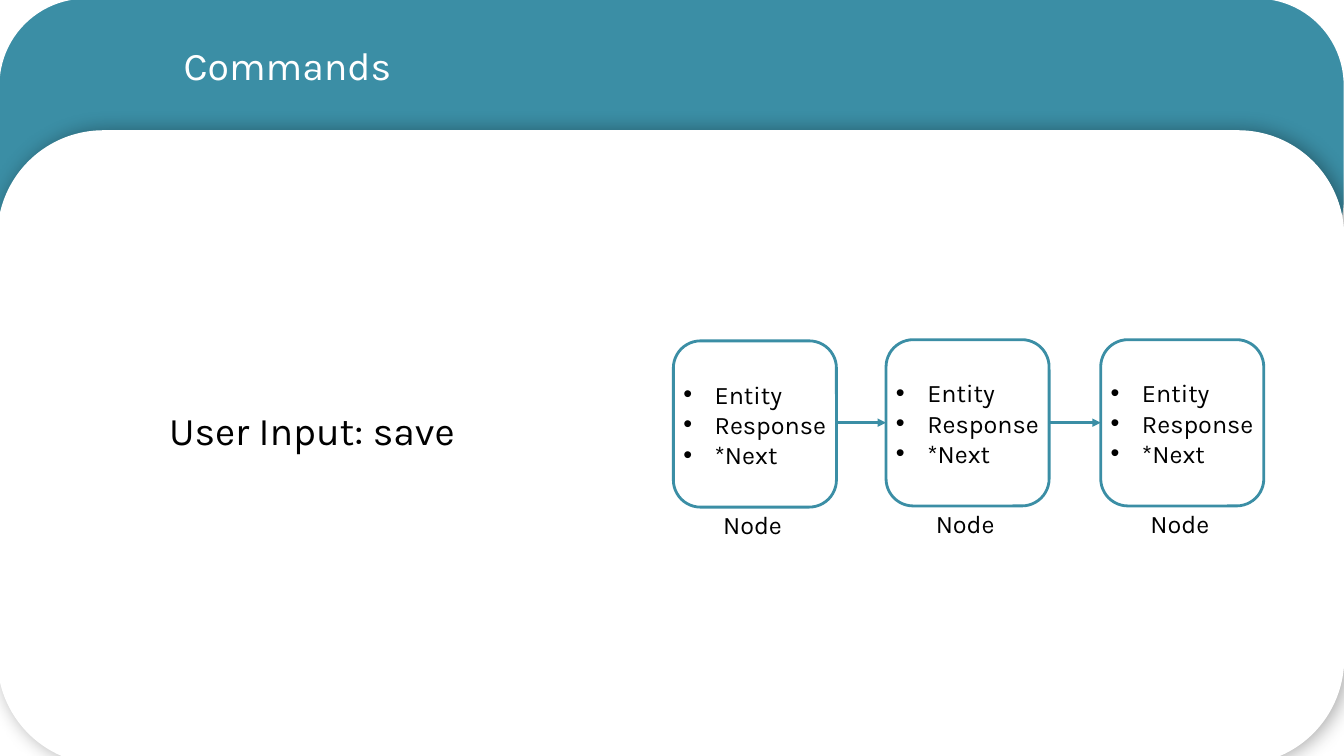
from lxml.etree import SubElement
from pptx import Presentation
from pptx.dml.color import RGBColor
from pptx.enum.shapes import MSO_CONNECTOR, MSO_SHAPE
from pptx.enum.text import MSO_ANCHOR, PP_ALIGN
from pptx.oxml import parse_xml
from pptx.oxml.ns import nsdecls, qn
from pptx.util import Cm, Pt

COLOURS = {"teal": "3B8EA5", "white": "FFFFFF", "black": "000000"}
COLOURS = {name: RGBColor.from_string(value) for name, value in COLOURS.items()}

deck = Presentation()
deck.slide_width, deck.slide_height = Cm(33.87), Cm(19.05)
slide = deck.slides.add_slide(deck.slide_layouts[6])


def add_panel(left, top, width, height, fill, line, line_width):
    panel = slide.shapes.add_shape(
        MSO_SHAPE.ROUNDED_RECTANGLE, Cm(left), Cm(top), Cm(width), Cm(height))
    panel.shadow.inherit = False
    panel.fill.solid()
    panel.fill.fore_color.rgb = COLOURS[fill]
    panel.line.color.rgb = COLOURS[line]
    panel.line.width = Pt(line_width)
    return panel


def add_text(words, left, top, width, height, size, colour="black", align=PP_ALIGN.LEFT):
    frame = slide.shapes.add_textbox(Cm(left), Cm(top), Cm(width), Cm(height)).text_frame
    frame.word_wrap = True
    frame.text = words
    for paragraph in frame.paragraphs:
        paragraph.alignment = align
        font = paragraph.runs[0].font
        font.name, font.size = "Karla", Pt(size)
        font.color.rgb = COLOURS[colour]
    return frame


header = add_panel(-0.03, -0.05, 33.91, 7.29, "teal", "white", 1)
header.adjustments[0] = 0.302
body = add_panel(-0.05, 3.3, 33.91, 15.95, "white", "white", 1)
body_effects = body._element.spPr.find(qn("a:effectLst"))
body_effects.append(parse_xml(
    f'<a:outerShdw {nsdecls("a")} blurRad="{Pt(15)}" dist="{Pt(3)}" dir="0" rotWithShape="0">'
    '<a:srgbClr val="000000"><a:alpha val="35000"/></a:srgbClr></a:outerShdw>'))

add_text("Commands", 3.56, 0.91, 7.37, 1.45, 28, "white", PP_ALIGN.CENTER)
add_text("User Input: save", 4.01, 10.11, 8.18, 1.45, 28)

NODE_WIDTH, NODE_HEIGHT = 4.11, 4.19
nodes = [(16.97, 8.59), (22.33, 8.56), (27.74, 8.56)]
for left, top in nodes:
    add_panel(left, top, NODE_WIDTH, NODE_HEIGHT, "white", "teal", 2)
    fields = add_text("Entity\nResponse\n*Next", left, top + 0.82, NODE_WIDTH, 2.56, 18)
    fields.vertical_anchor = MSO_ANCHOR.MIDDLE
    fields.margin_right = 0
    for field in fields.paragraphs:
        properties = field._p.get_or_add_pPr()
        properties.set("marL", str(Cm(0.79)))
        properties.set("indent", str(-Cm(0.79)))
        SubElement(properties, qn("a:buFont"), typeface="Arial")
        SubElement(properties, qn("a:buChar"), char="•")
    add_text("Node", left - 0.06, top + 4.12, NODE_WIDTH, 1.02, 18, align=PP_ALIGN.CENTER)

for (left, _), (next_left, _) in zip(nodes, nodes[1:]):
    next_link = slide.shapes.add_connector(
        MSO_CONNECTOR.STRAIGHT, Cm(left + NODE_WIDTH), Cm(10.65), Cm(next_left), Cm(10.65))
    next_link.line.color.rgb = COLOURS["teal"]
    next_link.line.width = Pt(1.75)
    SubElement(next_link.line._get_or_add_ln(), qn("a:tailEnd"), type="triangle")
    SubElement(next_link._element.spPr, qn("a:effectLst"))

deck.save("out.pptx")
